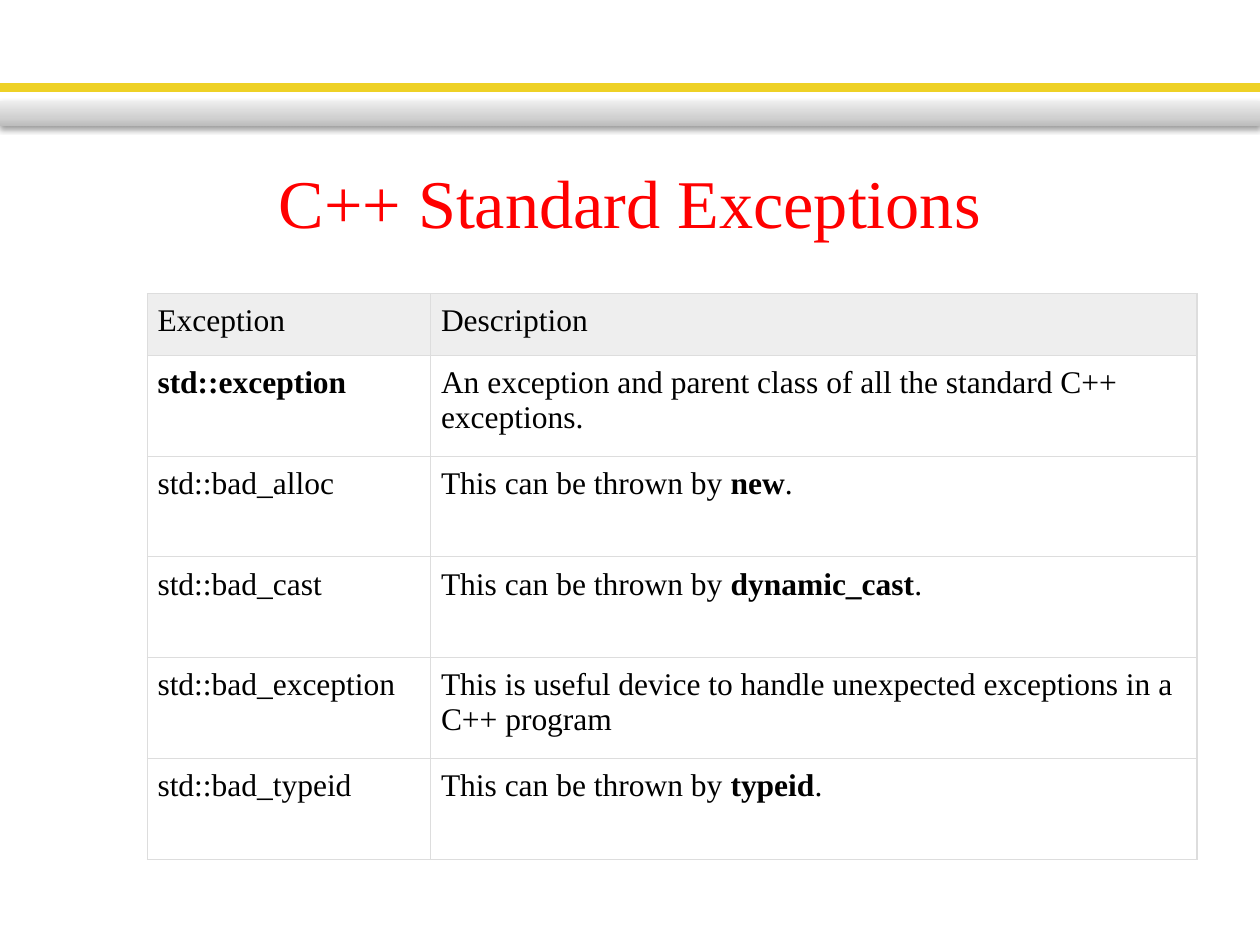
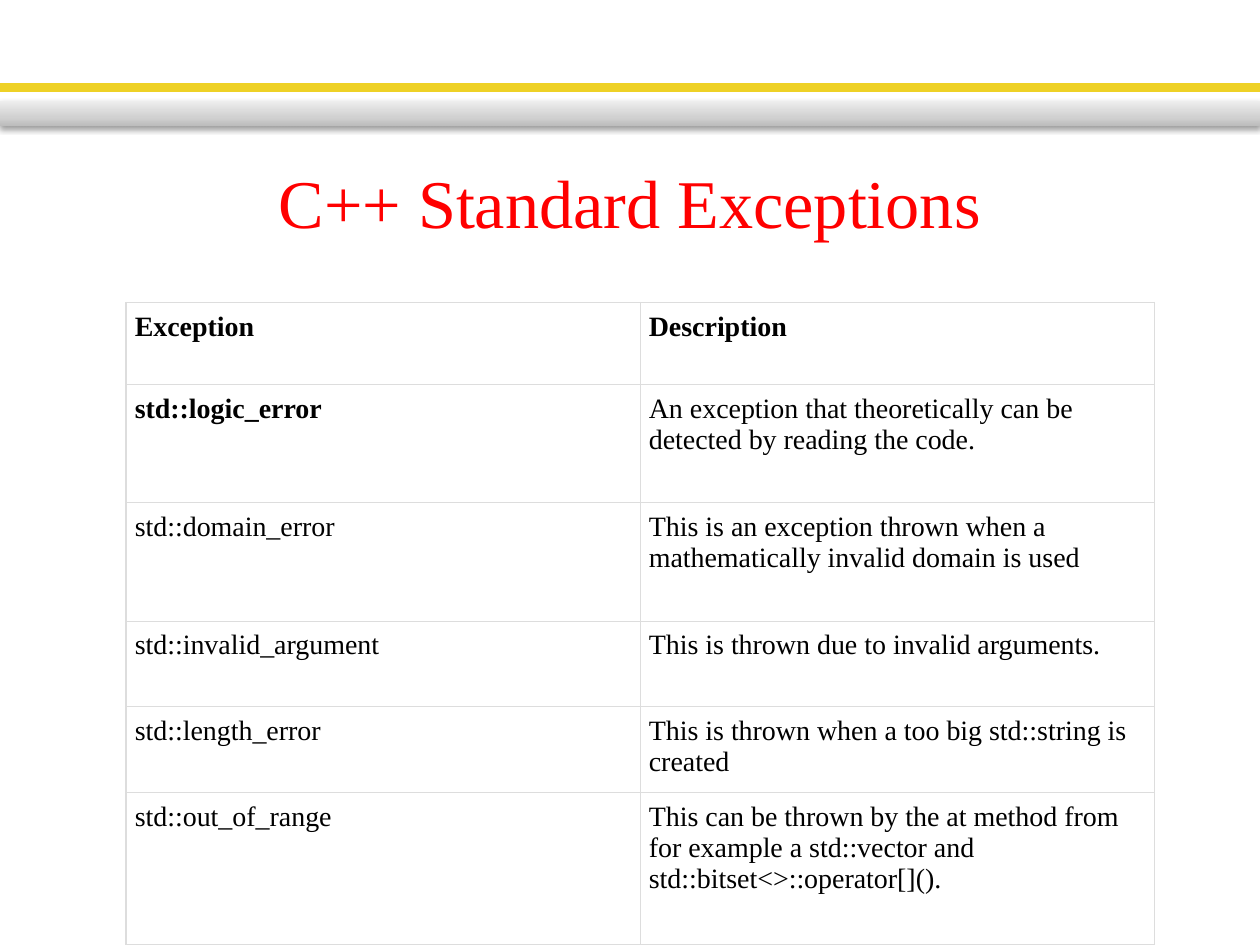
import pptx
import pptx.util
import pptx.dml.color
import pptx.enum.shapes
import pptx.enum.text
import pptx.oxml
import pptx.oxml.ns

Inches, Pt = pptx.util.Inches, pptx.util.Pt
RGB = pptx.dml.color.RGBColor.from_string
NS = pptx.oxml.ns.nsdecls("a")
FONT = "Times New Roman"
C = {"band": "EED126", "title": "FF0000", "text": "000000", "rule": "DDDDDD",
     "head": "EEEEEE", "dark": "BDBDBD", "mid": "D1D1D1", "light": "EEEEEE"}
W, H = 10, 7.5

TABLES = [
    {"left": 1.17, "top": 2.33, "cols": [2.25, 6.08], "rows": [0.49] + [0.8] * 5,
     "size": 18, "inset": 0.08, "head": C["head"],
     "cells": [
         ("Exception", "Description"),
         ("**std::exception**", "An exception and parent class of all the standard C++ exceptions."),
         ("std::bad_alloc", "This can be thrown by **new**."),
         ("std::bad_cast", "This can be thrown by **dynamic_cast**."),
         ("std::bad_exception", "This is useful device to handle unexpected exceptions in a C++ program"),
         ("std::bad_typeid", "This can be thrown by **typeid**.")]},
    {"left": 1, "top": 2.4, "cols": [4.08] * 2, "rows": [0.65, 0.94, 0.94, 0.68, 0.68, 1.21],
     "size": 16, "inset": 0.07, "head": None,
     "cells": [
         ("**Exception**", "**Description**"),
         ("**std::logic_error**", "An exception that theoretically can be detected by reading the code."),
         ("std::domain_error", "This is an exception thrown when a mathematically invalid domain is used"),
         ("std::invalid_argument", "This is thrown due to invalid arguments."),
         ("std::length_error", "This is thrown when a too big std::string is created"),
         ("std::out_of_range", "This can be thrown by the at method from for example a std::vector "
                               "and std::bitset<>::operator[]().")]},
]


def add_band(s, top, height):
    sp = s.shapes.add_shape(pptx.enum.shapes.MSO_SHAPE.RECTANGLE,
                            0, Inches(top), Inches(W), Inches(height))
    sp.shadow.inherit = False
    sp.line.fill.background()
    return sp


def fill_cell(cell, text, size, inset, color):
    cell.margin_left = cell.margin_right = Inches(inset)
    cell.margin_top = cell.margin_bottom = Inches(inset)
    tcPr = cell._tc.get_or_add_tcPr()
    for side in ("lnL", "lnR", "lnT", "lnB"):
        tcPr.append(pptx.oxml.parse_xml(
            f'<a:{side} {NS} w="{Pt(0.75)}"><a:solidFill><a:srgbClr val="{C["rule"]}"/>'
            f'</a:solidFill></a:{side}>'))
    if color:
        cell.fill.solid()
        cell.fill.fore_color.rgb = RGB(color)
    else:
        cell.fill.background()
    p = cell.text_frame.paragraphs[0]
    for i, part in enumerate(text.split("**")):
        if part:
            r = p.add_run()
            r.text = part
            r.font.bold = i % 2 == 1
    p.font.name, p.font.size = FONT, Pt(size)
    p.font.color.rgb = RGB(C["text"])


prs = pptx.Presentation()
prs.slide_width, prs.slide_height = Inches(W), Inches(H)
layout = prs.slide_layouts[5]
slides = [prs.slides.add_slide(layout) for _ in TABLES]

stripe = add_band(slides[0], 0.67, 0.05)
stripe.fill.solid()
stripe.fill.fore_color.rgb = RGB(C["band"])
stripe.line.color.rgb = RGB(C["band"])
stripe.line.width = Pt(2)

bar = add_band(slides[0], 0.8, 0.2)
stops = "".join(f'<a:gs pos="{pos * 1000}"><a:srgbClr val="{C[name]}"/></a:gs>'
                for pos, name in ((0, "dark"), (35, "mid"), (100, "light")))
bar._element.spPr.find(pptx.oxml.ns.qn("a:prstGeom")).addnext(pptx.oxml.parse_xml(
    f'<a:gradFill {NS} rotWithShape="1"><a:gsLst>{stops}</a:gsLst>'
    f'<a:lin ang="{270 * 60000}" scaled="0"/></a:gradFill>'))
bar._element.spPr.find(pptx.oxml.ns.qn("a:effectLst")).append(pptx.oxml.parse_xml(
    f'<a:outerShdw {NS} blurRad="{Pt(3.1)}" dist="{Pt(1.6)}" dir="{90 * 60000}" rotWithShape="0">'
    f'<a:srgbClr val="{C["text"]}"><a:alpha val="38000"/></a:srgbClr></a:outerShdw>'))

for sp in (stripe, bar):
    layout.shapes._spTree.append(sp._element)

for s, t in zip(slides, TABLES):
    title = s.shapes.title
    title.left, title.top, title.width, title.height = map(Inches, (0.05 * W, 1.17, 0.9 * W, 1))
    tf = title.text_frame
    tf.text = "C++ Standard Exceptions"
    tf.vertical_anchor = pptx.enum.text.MSO_ANCHOR.MIDDLE
    tf.margin_bottom = Inches(0.19)
    p = tf.paragraphs[0]
    p.alignment = pptx.enum.text.PP_ALIGN.CENTER
    p.font.name, p.font.size = FONT, Pt(39)
    p.font.color.rgb = RGB(C["title"])

    table = s.shapes.add_table(
        len(t["rows"]), len(t["cols"]), Inches(t["left"]), Inches(t["top"]),
        Inches(sum(t["cols"])), Inches(sum(t["rows"]))).table
    table.first_row = table.horz_banding = False
    for col, width in zip(table.columns, t["cols"]):
        col.width = Inches(width)
    for i, (row, height) in enumerate(zip(table.rows, t["rows"])):
        row.height = Inches(height)
        for cell, text in zip(row.cells, t["cells"][i]):
            fill_cell(cell, text, t["size"], t["inset"], t["head"] if i == 0 else None)

prs.save("out.pptx")
